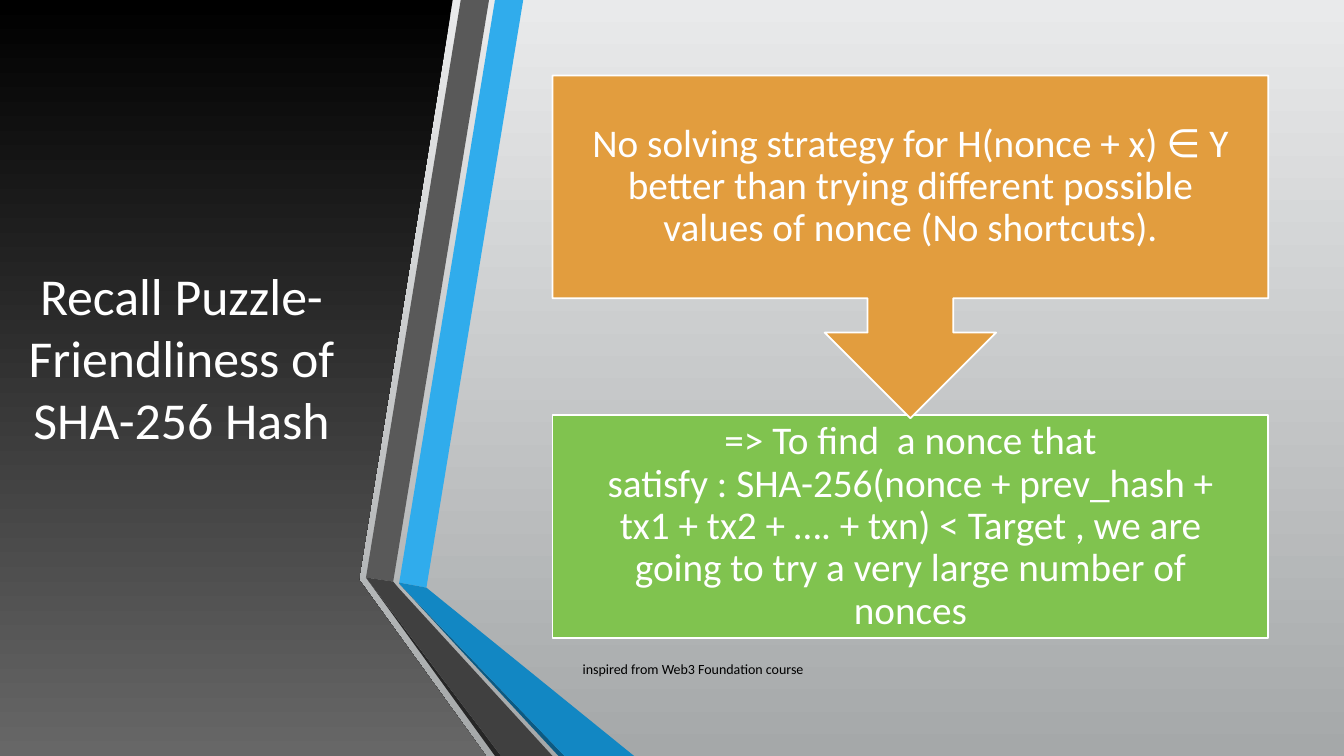
from dataclasses import dataclass

from pptx import Presentation
from pptx.dml.color import RGBColor
from pptx.enum.shapes import MSO_SHAPE
from pptx.enum.text import MSO_ANCHOR, PP_ALIGN
from pptx.util import Inches, Pt


@dataclass(frozen=True)
class Theme:
    font: str = "Calibri"
    title_size: float = 37
    body_size: float = 28
    credit_size: float = 10
    white: str = "FFFFFF"
    black: str = "000000"
    page_top: str = "E9EAEB"
    page_bottom: str = "A5A8A9"
    panel_bottom: str = "676767"
    blue: str = "30ACEC"
    blue_fold: str = "1287C3"
    blue_shade: str = "0C5A82"
    gray: str = "595959"
    gray_fold: str = "404040"
    gray_shade: str = "262626"
    orange: str = "E29D3E"
    green: str = "80C34F"


THEME = Theme()
WIDTH, HEIGHT = 13.33, 7.5
HARD_SPACE = chr(160)  # keeps a formula's parts on one line; typed as ~ below

# Outlines in inches, relative to the left edge of the region.
PANEL = [(0, 0), (4.49, 0), (3.56, 5.75), (4.82, 7.5), (0, 7.5)]
RIBBONS = [
    (THEME.blue, [(0.33, 5.78), (0.6, 5.83), (1.56, 0), (1.28, 0)]),
    (THEME.gray, [(1.22, 0), (0.94, 0), (0, 5.73), (0.27, 5.77)]),
    (THEME.gray_shade, [(0, 5.73), (1.28, 7.5), (1.34, 7.5)]),
    (THEME.blue_shade, [(0.33, 5.79), (1.91, 7.5), (1.97, 7.5)]),
    (THEME.blue_fold, [(0.33, 5.78), (0.33, 5.79), (1.97, 7.5), (2.66, 7.5), (0.6, 5.83)]),
    (THEME.gray_fold, [(0, 5.73), (1.34, 7.5), (1.85, 7.5), (0.32, 5.83), (0.27, 5.77)]),
]


def color(code):
    return RGBColor.from_string(code)


def fill_down(fill, top, bottom):
    """Fill with a vertical gradient."""
    fill.gradient()
    fill.gradient_angle = 270
    for stop, code in zip(fill.gradient_stops, (top, bottom)):
        stop.color.rgb = color(code)


def add_outline(page, left, points):
    """Add a closed polygon without a line, shifted right by left."""
    corners = [(Inches(left + x), Inches(y)) for x, y in points]
    builder = page.shapes.build_freeform(*corners[0])
    builder.add_line_segments(corners[1:], close=True)
    outline = builder.convert_to_shape()
    outline.shadow.inherit = False
    outline.line.fill.background()
    return outline


def write(shape, text, size, code, align=PP_ALIGN.CENTER, spacing=None, inset=None):
    frame = shape.text_frame
    frame.word_wrap = True
    frame.vertical_anchor = MSO_ANCHOR.MIDDLE
    if inset is not None:
        frame.margin_left = frame.margin_right = Inches(inset)
        frame.margin_top = frame.margin_bottom = Inches(inset)
    para = frame.paragraphs[0]
    para.text = text.replace("~", HARD_SPACE)
    para.alignment = align
    para.line_spacing = spacing
    para.font.name = THEME.font
    para.font.size = Pt(size)
    para.font.color.rgb = color(code)


def add_text(page, box, text, size, code, align=PP_ALIGN.CENTER):
    write(page.shapes.add_textbox(*map(Inches, box)), text, size, code, align)


def add_title_panel(page, left):
    panel = add_outline(page, left, PANEL)
    fill_down(panel.fill, THEME.black, THEME.panel_bottom)
    add_text(page, (left + 0.12, 0.75, 3.36, 5.58),
             "Recall Puzzle-Friendliness of SHA-256 Hash", THEME.title_size, THEME.white)


def add_ribbons(page, left):
    for code, points in RIBBONS:
        ribbon = add_outline(page, left, points)
        ribbon.fill.solid()
        ribbon.fill.fore_color.rgb = color(code)


def add_step(page, kind, box, code, text):
    step = page.shapes.add_shape(kind, *map(Inches, box))
    step.shadow.inherit = False
    step.fill.solid()
    step.fill.fore_color.rgb = color(code)
    step.line.color.rgb = color(THEME.white)
    step.line.width = Pt(1.25)
    write(step, text, THEME.body_size, THEME.white, spacing=0.9, inset=0.22)


def add_argument(page, left, top, width, height):
    """Place the premise with its arrow above the conclusion."""
    conclusion_height = 2.21
    conclusion_top = top + height - conclusion_height
    add_step(page, MSO_SHAPE.RECTANGLE, (left, conclusion_top, width, conclusion_height),
             THEME.green,
             "=> To find~ a nonce that satisfy :~SHA-256(nonce +~prev_hash~+ tx1~+ tx2~+ …. +~txn)"
             " < Target , we are going to try a very large number of nonces")
    add_step(page, MSO_SHAPE.DOWN_ARROW_CALLOUT, (left, top, width, 3.4), THEME.orange,
             "No solving strategy for H(nonce + x)~∈ Y better than trying different possible"
             " values of nonce (No shortcuts).")


def main():
    deck = Presentation()
    deck.slide_width, deck.slide_height = Inches(WIDTH), Inches(HEIGHT)
    page = deck.slides.add_slide(deck.slide_layouts[6])
    fill_down(page.background.fill, THEME.page_top, THEME.page_bottom)
    add_title_panel(page, 0)
    add_ribbons(page, 3.63)
    add_text(page, (5.68, 6.44, 4.88, 0.4), "inspired from Web3 Foundation course",
             THEME.credit_size, THEME.black, PP_ALIGN.LEFT)
    add_argument(page, 5.48, 0.75, 7.1, 5.58)
    deck.save("out.pptx")


if __name__ == "__main__":
    main()
